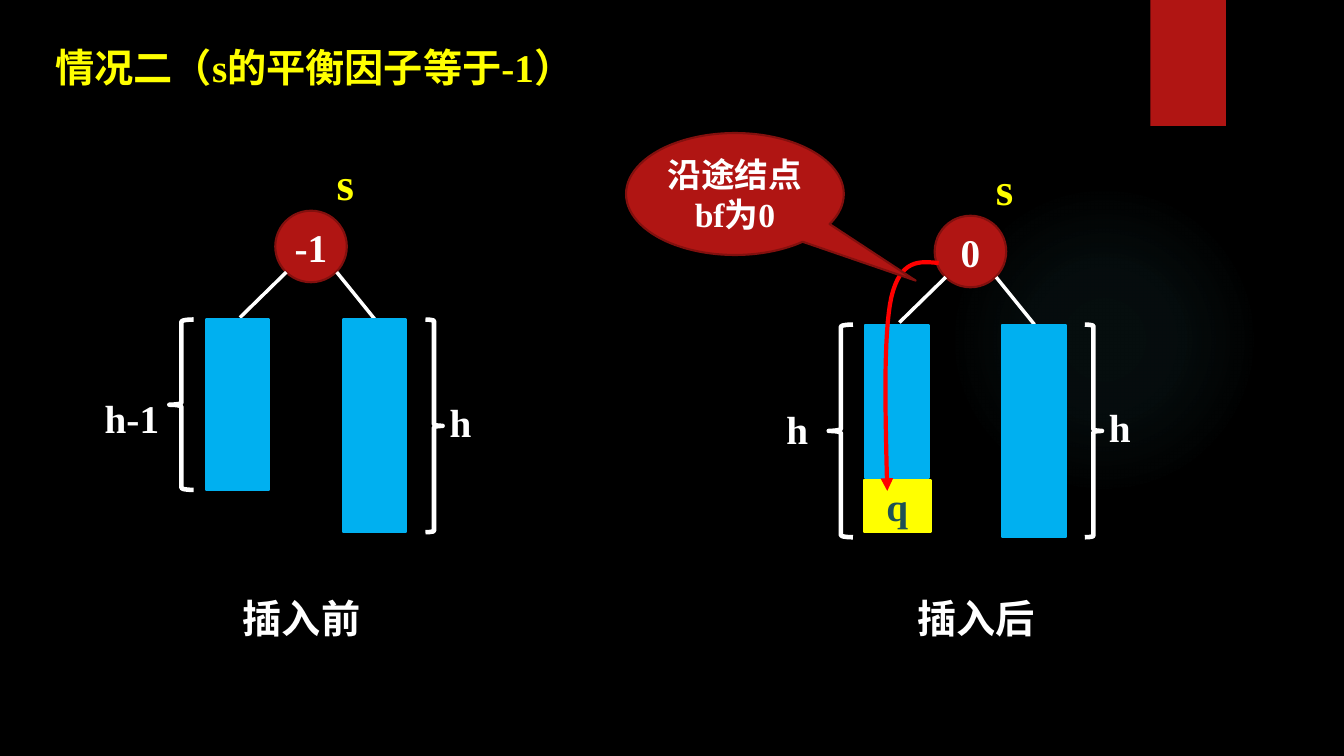
from lxml.etree import SubElement
from pptx import Presentation
from pptx.dml.color import RGBColor
from pptx.enum.shapes import MSO_CONNECTOR, MSO_SHAPE
from pptx.enum.text import MSO_ANCHOR, PP_ALIGN
from pptx.oxml import parse_xml
from pptx.oxml.ns import nsdecls, qn
from pptx.util import Inches, Pt

BLACK = RGBColor(0x00, 0x00, 0x00)
WHITE = RGBColor(0xFF, 0xFF, 0xFF)
YELLOW = RGBColor(0xFF, 0xFF, 0x00)
RED = RGBColor(0xFF, 0x00, 0x00)
CRIMSON = RGBColor(0xB0, 0x15, 0x13)
MAROON = RGBColor(0x82, 0x10, 0x0E)
BLUE = RGBColor(0x00, 0xB0, 0xF0)
TEAL = RGBColor(0x1E, 0x51, 0x55)
GLOW = RGBColor(0x50, 0xB9, 0xC1)
SERIF = "Times New Roman"
SANS = "TeX Gyre Adventor"


def write(frame, text, size, color, font=SERIF, align=PP_ALIGN.LEFT):
    frame.word_wrap = True
    frame.text = text
    para = frame.paragraphs[0]
    para.alignment = align
    span = para.runs[0].font
    span.name, span.size, span.bold = font, Pt(size), True
    span.color.rgb = color


def add_label(page, left, top, width, height, text, size=28, color=WHITE, font=SERIF):
    box = page.shapes.add_textbox(Inches(left), Inches(top), Inches(width), Inches(height))
    write(box.text_frame, text, size, color, font)


def add_figure(page, kind, left, top, width, height, fill=None, line=None, weight=1.5):
    figure = page.shapes.add_shape(kind, Inches(left), Inches(top), Inches(width), Inches(height))
    figure.shadow.inherit = False
    if fill is None:
        figure.fill.background()
    else:
        figure.fill.solid()
        figure.fill.fore_color.rgb = fill
    if line is None:
        figure.line.fill.background()
    else:
        figure.line.color.rgb = line
        figure.line.width = Pt(weight)
    return figure


def write_inside(figure, text, size=28, color=WHITE, inset=0.0):
    frame = figure.text_frame
    frame.margin_left = frame.margin_right = Inches(inset)
    frame.vertical_anchor = MSO_ANCHOR.MIDDLE
    write(frame, text, size, color, align=PP_ALIGN.CENTER)


def add_edge(page, start, end):
    edge = page.shapes.add_connector(
        MSO_CONNECTOR.STRAIGHT, *(Inches(value) for value in (*start, *end)))
    edge.line.color.rgb = WHITE
    edge.line.width = Pt(2.5)
    SubElement(edge._element.spPr, qn("a:effectLst"))


def add_glow(page):
    glow = add_figure(page, MSO_SHAPE.OVAL, 9.41, 1.83, 3.08, 3.08, GLOW)
    stops = "".join(
        f'<a:gs pos="{position}000"><a:srgbClr val="{GLOW}"><a:alpha val="{alpha}000"/></a:srgbClr></a:gs>'
        for position, alpha in ((0, 7), (36, 6), (69, 0), (100, 0)))
    gradient = parse_xml(
        f'<a:gradFill {nsdecls("a")}><a:gsLst>{stops}</a:gsLst><a:path path="circle">'
        '<a:fillToRect l="50000" t="50000" r="50000" b="50000"/></a:path></a:gradFill>')
    properties = glow._element.spPr
    properties.replace(properties.find(qn("a:solidFill")), gradient)


def add_tree(page, x, y, factor, bar_height, brace_height, label, label_left, label_top):
    root = add_figure(page, MSO_SHAPE.OVAL, x + 2.73, y + 2.09, 0.71, 0.71, CRIMSON, MAROON)
    write_inside(root, factor)
    add_edge(page, (x + 2.38, y + 3.15), (x + 2.84, y + 2.7))
    add_edge(page, (x + 3.72, y + 3.17), (x + 3.34, y + 2.7))
    add_label(page, x + 3.24, y + 1.5, 1.85, 0.64, "s", 32, YELLOW)
    for left, height in ((2.04, bar_height), (3.4, 2.11)):
        add_figure(page, MSO_SHAPE.RECTANGLE, x + left, y + 3.17, 0.63, height, BLUE, BLUE)
    for kind, left, width, height in (
            (MSO_SHAPE.LEFT_BRACE, 1.68, 0.24, brace_height),
            (MSO_SHAPE.RIGHT_BRACE, 4.22, 0.17, 2.11)):
        add_figure(page, kind, x + left, y + 3.17, width, height, line=WHITE, weight=3.25)
    add_label(page, label_left, label_top, 1.45, 0.57, label)
    add_label(page, x + 4.36, y + 3.9, 1.45, 0.57, "h")


def curve_points(start, first, second, end, steps=16):
    for step in range(1, steps + 1):
        t = step / steps
        yield tuple(
            Inches((1 - t) ** 3 * a + 3 * (1 - t) ** 2 * t * b + 3 * (1 - t) * t ** 2 * c + t ** 3 * d)
            for a, b, c, d in zip(start, first, second, end))


def add_search_path(page):
    start, bend, end = (9.31, 2.61), (8.84, 2.95), (8.8, 4.87)
    builder = page.shapes.build_freeform(Inches(start[0]), Inches(start[1]))
    points = [*curve_points(start, (9.12, 2.59), (8.93, 2.57), bend),
              *curve_points(bend, (8.76, 3.32), (8.78, 4.09), end)]
    builder.add_line_segments(points, close=False)
    arrow = builder.convert_to_shape()
    arrow.shadow.inherit = False
    arrow.fill.background()
    arrow.line.color.rgb = RED
    arrow.line.width = Pt(3)
    SubElement(arrow.line._get_or_add_ln(), qn("a:tailEnd"), type="triangle")


def add_title(page, text):
    title = page.shapes.title
    title.left, title.top = Inches(0.45), Inches(0.38)
    title.width, title.height = Inches(12.44), Inches(1.04)
    title.text_frame.vertical_anchor = MSO_ANCHOR.TOP
    write(title.text_frame, text, 28, YELLOW)


def main():
    deck = Presentation()
    deck.slide_width, deck.slide_height = Inches(13.33), Inches(7.5)
    page = deck.slides.add_slide(deck.slide_layouts[5])
    page.background.fill.solid()
    page.background.fill.fore_color.rgb = BLACK
    add_glow(page)
    add_figure(page, MSO_SHAPE.RECTANGLE, 11.41, 0, 0.75, 1.25, CRIMSON)
    add_title(page, "情况二（s的平衡因子等于-1）")

    add_tree(page, 0, 0, "-1", 1.69, 1.69, "h-1", 0.94, 3.86)
    add_tree(page, 6.54, 0.05, "0", 1.52, 2.11, "h", 7.7, 3.97)
    for left, caption in ((2.31, "插入前"), (9, "插入后")):
        add_label(page, left, 5.85, 1.56, 0.57, caption, font=SANS)

    inserted = add_figure(page, MSO_SHAPE.RECTANGLE, 8.57, 4.76, 0.66, 0.52, YELLOW, YELLOW)
    write_inside(inserted, "q", color=TEAL, inset=0.1)
    add_search_path(page)
    callout = add_figure(page, MSO_SHAPE.OVAL_CALLOUT, 6.21, 1.32, 2.16, 1.21, CRIMSON, MAROON)
    callout.adjustments[0] = 0.83
    callout.adjustments[1] = 0.71
    write_inside(callout, "沿途结点bf为0", 24)
    deck.save("out.pptx")


if __name__ == "__main__":
    main()
